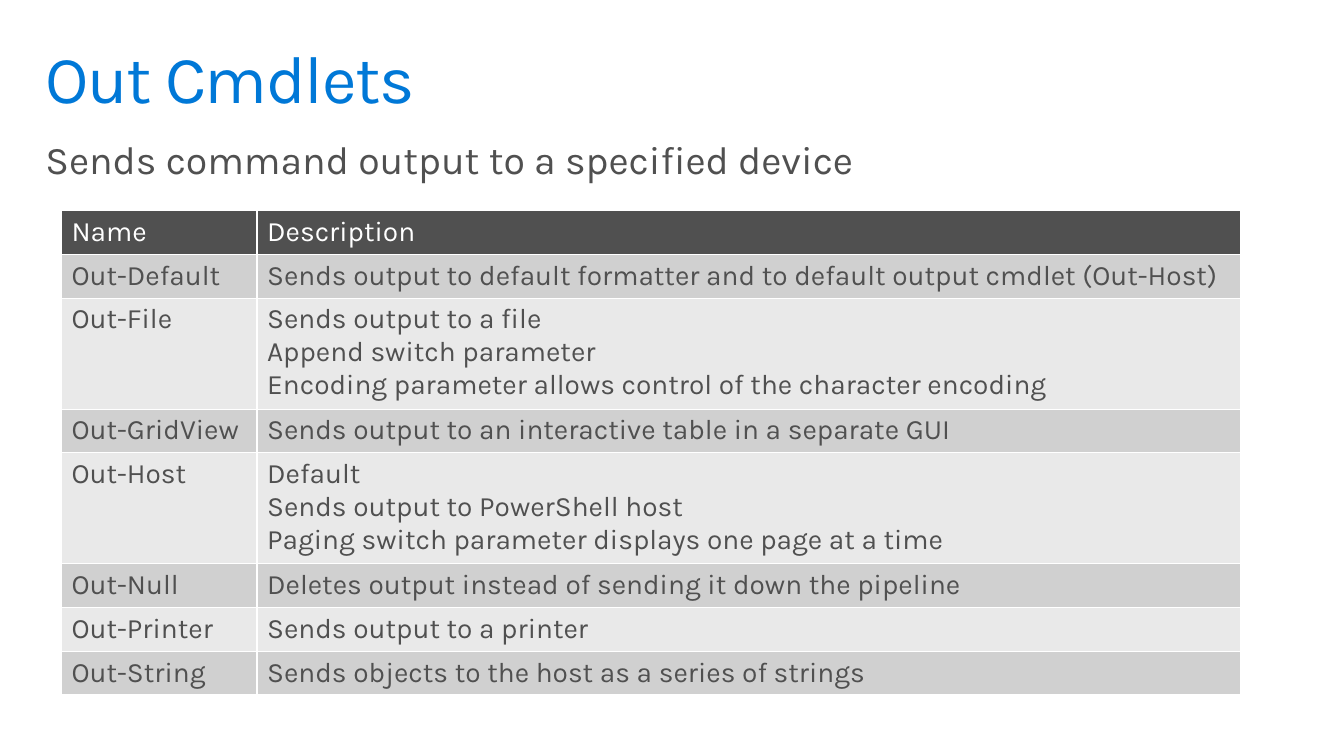
from lxml import etree
from pptx import Presentation
from pptx.dml.color import RGBColor
from pptx.enum.text import MSO_ANCHOR
from pptx.oxml.ns import qn
from pptx.util import Inches, Pt

MIDDLE = MSO_ANCHOR.MIDDLE
TOP = MSO_ANCHOR.TOP

FONT = "Karla"
BLUE = RGBColor(0x00, 0x78, 0xD7)
DARK = RGBColor(0x50, 0x50, 0x50)
BAND = RGBColor(0xD0, 0xD0, 0xD0)
LIGHT = RGBColor(0xE9, 0xE9, 0xE9)
WHITE = RGBColor(0xFF, 0xFF, 0xFF)

CMDLETS = [
    ("Name", "Description"),
    ("Out-Default", "Sends output to default formatter and to default output cmdlet (Out-Host)"),
    ("Out-File", "Sends output to a file\nAppend switch parameter\n"
                 "Encoding parameter allows control of the character encoding"),
    ("Out-GridView", "Sends output to an interactive table in a separate GUI"),
    ("Out-Host", "Default\nSends output to PowerShell host\n"
                 "Paging switch parameter displays one page at a time"),
    ("Out-Null", "Deletes output instead of sending it down the pipeline"),
    ("Out-Printer", "Sends output to a printer"),
    ("Out-String", "Sends objects to the host as a series of strings"),
]
COLUMN_WIDTHS = (1.94, 9.75)
LINE_HEIGHT = 0.325
CELL_PADDING = 0.1


def style_paragraph(paragraph, size, color):
    """Set the font of a paragraph."""
    paragraph.font.name = FONT
    paragraph.font.size = Pt(size)
    paragraph.font.color.rgb = color


def add_text(slide, text, top, height, size, color, anchor, space_before=0):
    """Add a one-paragraph heading box and return its paragraph."""
    shape = slide.shapes.add_textbox(Inches(0.29), Inches(top), Inches(12.75), Inches(height))
    frame = shape.text_frame
    frame.word_wrap = True
    frame.vertical_anchor = anchor
    frame.margin_left = frame.margin_right = Inches(0.16)
    frame.margin_top = frame.margin_bottom = Inches(0.1)
    frame.text = text
    paragraph = frame.paragraphs[0]
    paragraph.line_spacing = 0.9
    paragraph.space_before = Pt(space_before)
    style_paragraph(paragraph, size, color)
    return paragraph


def add_borders(cell):
    """Draw a thin white line on each side of a cell."""
    properties = cell._tc.get_or_add_tcPr()
    for index, side in enumerate(("a:lnL", "a:lnR", "a:lnT", "a:lnB")):
        line = etree.Element(qn(side), w=str(Pt(1)))
        fill = etree.SubElement(line, qn("a:solidFill"))
        etree.SubElement(fill, qn("a:srgbClr"), val=str(WHITE))
        properties.insert(index, line)


def fill_cell(cell, text, fill, color):
    """Write and style one table cell."""
    cell.text = text
    cell.fill.solid()
    cell.fill.fore_color.rgb = fill
    add_borders(cell)
    for paragraph in cell.text_frame.paragraphs:
        style_paragraph(paragraph, 20, color)


def add_cmdlet_table(slide):
    """Add the banded table of cmdlets with rows as tall as their lines."""
    heights = [CELL_PADDING + LINE_HEIGHT * (description.count("\n") + 1)
               for _, description in CMDLETS]
    table = slide.shapes.add_table(
        len(CMDLETS), len(COLUMN_WIDTHS), Inches(0.61), Inches(2.09),
        Inches(sum(COLUMN_WIDTHS)), Inches(sum(heights))).table
    for column, width in zip(table.columns, COLUMN_WIDTHS):
        column.width = Inches(width)
    for index, (texts, height) in enumerate(zip(CMDLETS, heights)):
        row = table.rows[index]
        row.height = Inches(height)
        if index == 0:
            fill, color = DARK, WHITE
        else:
            fill, color = (BAND if index % 2 else LIGHT), DARK
        for cell, text in zip(row.cells, texts):
            fill_cell(cell, text, fill, color)


def main():
    """Build and save the slide."""
    presentation = Presentation()
    presentation.slide_width = Inches(13.33)
    presentation.slide_height = Inches(7.5)
    slide = presentation.slides.add_slide(presentation.slide_layouts[6])
    title = add_text(slide, "Out Cmdlets", 0.32, 0.98, 48, BLUE, MIDDLE)
    title.runs[0]._r.get_or_add_rPr().set("spc", "-100")
    add_text(slide, "Sends command output to a specified device",
             1.3, 0.63, 28, DARK, TOP, space_before=3.6)
    add_cmdlet_table(slide)
    presentation.save("out.pptx")


if __name__ == "__main__":
    main()
